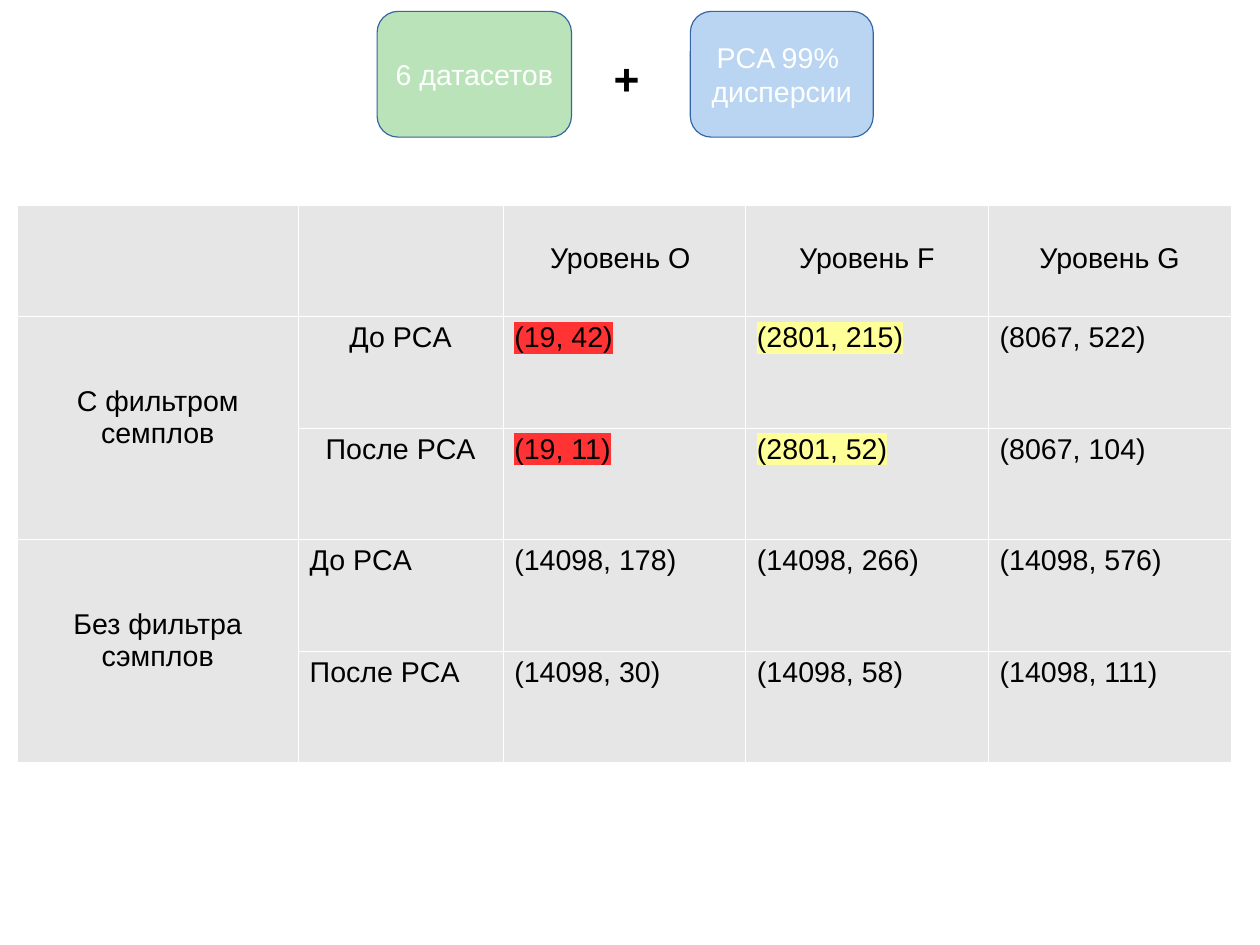
from dataclasses import dataclass

from lxml import etree
from pptx import Presentation
from pptx.dml.color import RGBColor
from pptx.enum import shapes, text
from pptx.oxml import ns
from pptx.util import Cm, Inches, Pt


@dataclass(frozen=True)
class Theme:
    font: str = "Arial"
    body: int = 18
    sign: int = 28
    ink: str = "000000"
    white: str = "FFFFFF"
    outline: str = "3465A4"
    green: str = "009900"
    blue: str = "0066CC"
    cell: str = "E6E6E6"
    red: str = "FF3333"
    yellow: str = "FFFF99"
    tint: int = 27


THEME = Theme()
CENTER = text.PP_ALIGN.CENTER
LEFT = text.PP_ALIGN.LEFT

TABLE_WIDTH, TABLE_HEIGHT = 10.62, 4.88
LABEL_WIDTHS = (2.46, 1.79)
LINE_HEIGHT = 0.28
INSET = 0.05
LEVELS = ("Уровень O ", "Уровень F", "Уровень G")
GROUPS = (
    ("C фильтром семплов", CENTER, (THEME.red, THEME.yellow, None), (
        ("До PCA", "(19, 42)", "(2801, 215)", "(8067, 522)"),
        ("После PCA", "(19, 11)", "(2801, 52)", "(8067, 104)"),
    )),
    ("Без фильтра сэмплов", LEFT, (None, None, None), (
        ("До PCA", "(14098, 178)", "(14098, 266)", "(14098, 576)"),
        ("После PCA", "(14098, 30)", "(14098, 58)", "(14098, 111)"),
    )),
)


def add_color(parent, tag, color):
    holder = etree.SubElement(parent, ns.qn(tag))
    etree.SubElement(holder, ns.qn("a:srgbClr"), val=color)


def write(frame, wording, size=THEME.body, color=THEME.ink, bold=False,
          align=LEFT, highlight=None):
    for index, line in enumerate(wording.split("\n")):
        paragraph = frame.add_paragraph() if index else frame.paragraphs[0]
        paragraph.alignment = align
        run = paragraph.add_run()
        run.text = line
        run.font.size = Pt(size)
        run.font.bold = bold
        run.font.color.rgb = RGBColor.from_string(color)
        if highlight:
            add_color(run.font._element, "a:highlight", highlight)
        run.font.name = THEME.font


def add_card(slide, left, width, color, wording):
    card = slide.shapes.add_shape(
        shapes.MSO_SHAPE.ROUNDED_RECTANGLE,
        Inches(left), Inches(0.1), Inches(width), Inches(1.1))
    card.shadow.inherit = False
    card.fill.solid()
    card.fill.fore_color.rgb = RGBColor.from_string(color)
    tone = card.fill._xPr.find(".//" + ns.qn("a:srgbClr"))
    etree.SubElement(tone, ns.qn("a:alpha"), val=str(THEME.tint * 1000))
    card.line.color.rgb = RGBColor.from_string(THEME.outline)
    card.line.width = Pt(0)
    card.text_frame.word_wrap = False
    card.text_frame.vertical_anchor = text.MSO_ANCHOR.MIDDLE
    write(card.text_frame, wording, color=THEME.white, align=CENTER)


def add_plus(slide):
    plus = slide.shapes.add_textbox(
        Inches(5.27), Inches(0.4), Inches(0.5), Inches(0.53))
    plus.text_frame.word_wrap = True
    plus.text_frame.auto_size = text.MSO_AUTO_SIZE.SHAPE_TO_FIT_TEXT
    write(plus.text_frame, "+", size=THEME.sign, bold=True)


def style_cell(cell):
    properties = cell._tc.get_or_add_tcPr()
    for side in ("a:lnL", "a:lnR", "a:lnT", "a:lnB"):
        border = etree.SubElement(properties, ns.qn(side), w=str(Pt(0.06)))
        add_color(border, "a:solidFill", THEME.white)
    cell.fill.solid()
    cell.fill.fore_color.rgb = RGBColor.from_string(THEME.cell)


def fill_cell(cell, wording, lines_down=0, **style):
    """Write the wording a number of text lines below the cell's top."""
    cell.margin_top = Inches(INSET + lines_down * LINE_HEIGHT)
    write(cell.text_frame, wording, **style)


def add_size_table(slide):
    row_count = 1 + sum(len(group[-1]) for group in GROUPS)
    level_width = (TABLE_WIDTH - sum(LABEL_WIDTHS)) / len(LEVELS)
    widths = LABEL_WIDTHS + (level_width,) * len(LEVELS)
    table = slide.shapes.add_table(
        row_count, len(widths), Inches(0.15), Inches(1.79),
        Inches(TABLE_WIDTH), Inches(TABLE_HEIGHT)).table
    table.horz_banding = False
    table.first_row = False
    for column, width in zip(table.columns, widths):
        column.width = Inches(width)
    for cell in table.iter_cells():
        style_cell(cell)

    for column, level in enumerate(LEVELS, start=2):
        fill_cell(table.cell(0, column), level, lines_down=1, align=CENTER)

    row = 1
    for title, stage_align, highlights, stages in GROUPS:
        group = table.cell(row, 0)
        group.merge(table.cell(row + len(stages) - 1, 0))
        fill_cell(group, title, lines_down=2, align=CENTER)
        for stage, *sizes in stages:
            fill_cell(table.cell(row, 1), stage, align=stage_align)
            for column, (size, mark) in enumerate(zip(sizes, highlights), 2):
                fill_cell(table.cell(row, column), size, highlight=mark)
            row += 1


def main():
    deck = Presentation()
    deck.slide_width, deck.slide_height = Cm(28), Cm(21)
    slide = deck.slides.add_slide(deck.slide_layouts[6])
    add_card(slide, 3.3, 1.7, THEME.green, "6 датасетов")
    add_size_table(slide)
    add_card(slide, 6.04, 1.6, THEME.blue, "PCA 99% \nдисперсии")
    add_plus(slide)
    deck.save("out.pptx")


if __name__ == "__main__":
    main()
